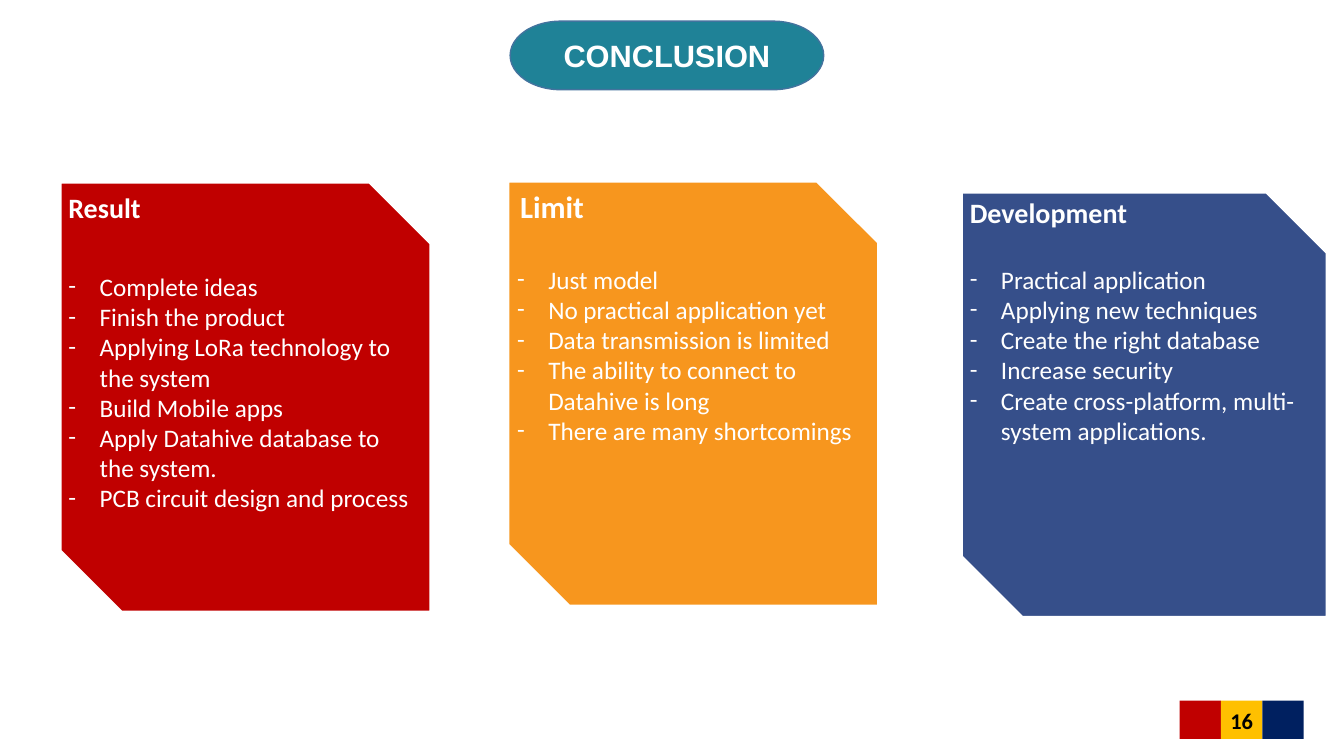
from lxml.etree import SubElement
from pptx import Presentation
from pptx.dml.color import RGBColor
from pptx.enum.shapes import MSO_SHAPE as SHAPE
from pptx.enum.text import MSO_ANCHOR as ANCHOR, MSO_AUTO_SIZE as AUTO, PP_ALIGN as ALIGN
from pptx.oxml.ns import qn
from pptx.util import Pt

PX = 9144
WHITE = RGBColor(0xFF, 0xFF, 0xFF)
BLACK = RGBColor(0x00, 0x00, 0x00)
RED = RGBColor(0xC0, 0x00, 0x00)
GOLD = RGBColor(0xFF, 0xC0, 0x00)
NAVY = RGBColor(0x00, 0x20, 0x60)
TEAL = RGBColor(0x1F, 0x82, 0x97)
TEAL_EDGE = RGBColor(0x43, 0x73, 0x9E)
ORANGE = RGBColor(0xF7, 0x96, 0x1E)
BLUE = RGBColor(0x36, 0x4F, 0x8A)

prs = Presentation()
prs.slide_width, prs.slide_height = 1333 * PX, 750 * PX
s = prs.slides.add_slide(prs.slide_layouts[6])


def add_block(kind, box, fill, line=None, width=1):
    sp = s.shapes.add_shape(kind, *[v * PX for v in box])
    sp.shadow.inherit = False
    sp.fill.solid()
    sp.fill.fore_color.rgb = fill
    if line is None:
        sp.line.fill.background()
    else:
        sp.line.color.rgb = line
        sp.line.width = Pt(width)
    return sp


def write(sp, lines, align=ALIGN.LEFT, anchor=ANCHOR.TOP, wrap=True, grow=False, **look):
    tf = sp.text_frame
    tf.word_wrap = wrap
    tf.vertical_anchor = anchor
    tf.auto_size = AUTO.SHAPE_TO_FIT_TEXT if grow else AUTO.NONE
    tf.text = "\n".join(lines)
    style = {"name": "Calibri", "size": Pt(18), "bold": False} | look
    color = style.pop("color", WHITE)
    for p in tf.paragraphs:
        p.alignment = align
        for r in p.runs:
            r.font.color.rgb = color
            for key, value in style.items():
                setattr(r.font, key, value)
    return tf


for i, color in enumerate([RED, GOLD, NAVY]):
    add_block(SHAPE.RECTANGLE, (1170 + 41 * i, 695, 41, 38), color)
number = s.shapes.add_textbox(*[v * PX for v in (1202, 695, 59, 40)])
write(number, ["16"], ALIGN.CENTER, ANCHOR.MIDDLE, size=Pt(16), bold=True, color=BLACK)

title = add_block(SHAPE.FLOWCHART_TERMINATOR, (506, 21, 311, 68), TEAL, TEAL_EDGE)
write(title, ["CONCLUSION"], ALIGN.CENTER, ANCHOR.MIDDLE, name="Arial", size=Pt(22), bold=True)

cards = [
    (RED, (58, 179, 371, 430), "Result", 20, (58, 184, 93, 44), (58, 264, 361, 252),
     ["Complete ideas", "Finish the product", "Applying LoRa technology to the system",
      "Build Mobile apps", "Apply Datahive database to the system.",
      "PCB circuit design and process"]),
    (ORANGE, (502, 178, 371, 425), "Limit", 22, (506, 181, 84, 47), (503, 257, 364, 192),
     ["Just model", "No practical application yet", "Data transmission is limited",
      "The ability to connect to Datahive is long", "There are many shortcomings"]),
    (BLUE, (952, 189, 366, 425), "Development", 20, (952, 189, 178, 44), (952, 257, 366, 192),
     ["Practical application", "Applying new techniques", "Create the right database",
      "Increase security", "Create cross-platform, multi-system applications."]),
]
for color, card, heading, size, heading_box, list_box, items in cards:
    add_block(SHAPE.SNIP_2_DIAG_RECTANGLE, card, color, WHITE, 4.5)
    head = s.shapes.add_textbox(*[v * PX for v in heading_box])
    write(head, [heading], wrap=False, grow=True, size=Pt(size), bold=True)
    body = s.shapes.add_textbox(*[v * PX for v in list_box])
    for p in write(body, items, grow=True).paragraphs:
        pPr = p._p.get_or_add_pPr()
        pPr.set("marL", str(31 * PX))
        pPr.set("indent", str(-31 * PX))
        SubElement(pPr, qn("a:buFont"), typeface="Calibri")
        SubElement(pPr, qn("a:buChar"), char="-")

prs.save("out.pptx")
